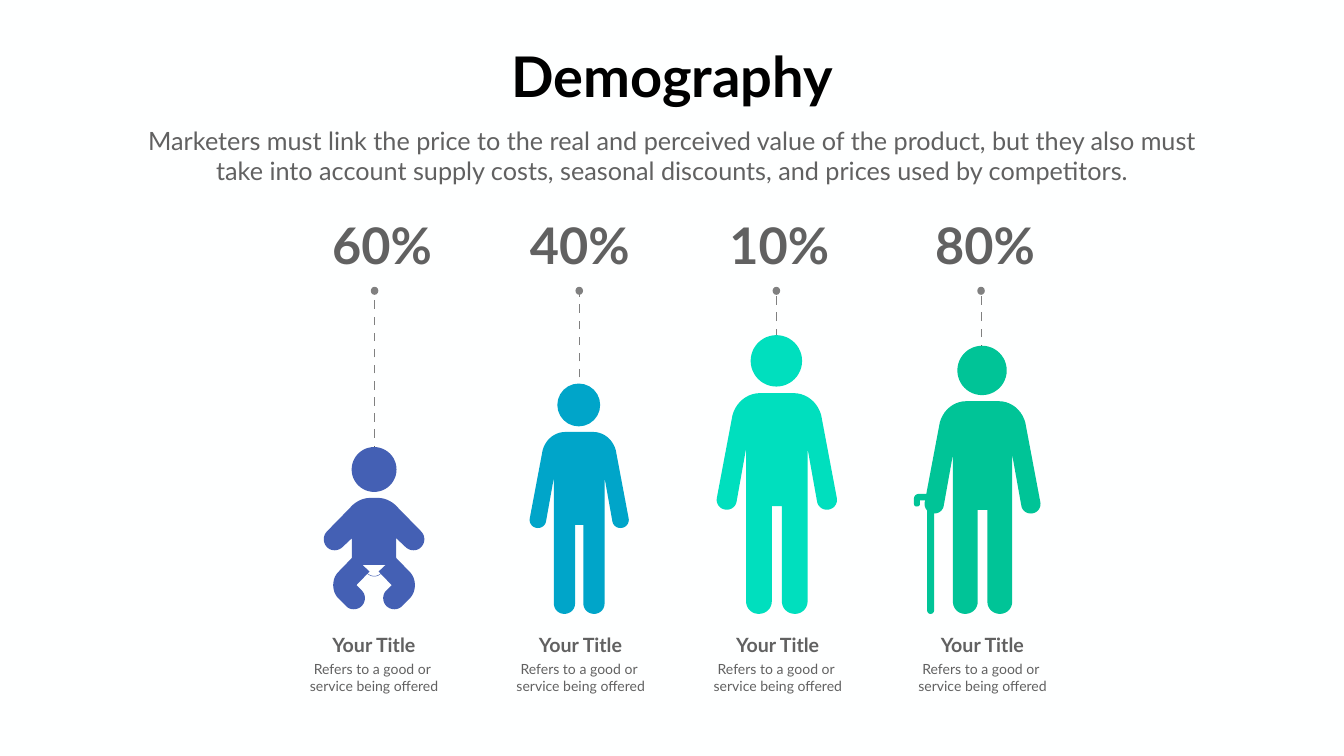
from dataclasses import dataclass
from math import ceil

from lxml import etree
from pptx import Presentation
from pptx.dml.color import RGBColor
from pptx.enum.shapes import MSO_CONNECTOR as Connector, MSO_SHAPE as Shape
from pptx.enum.text import MSO_ANCHOR as Anchor, PP_ALIGN as Align
from pptx.oxml.ns import qn
from pptx.util import Inches, Pt


@dataclass(frozen=True)
class Theme:
    font: str = "Lato"
    background: str = "FEFFFF"
    title: str = "000000"
    text: str = "616161"
    marker: str = "808080"
    marker_dark: str = "606060"
    baby: str = "4460B4"
    child: str = "00A5C9"
    adult: str = "00DFBE"
    elder: str = "00C497"
    title_size: int = 80
    percent_size: int = 72
    intro_size: int = 36
    label_size: int = 28
    caption_size: int = 20


theme = Theme()
presentation = Presentation()
presentation.slide_width, presentation.slide_height = Inches(26.66), Inches(15)
slide = presentation.slides.add_slide(presentation.slide_layouts[6])
slide.background.fill.solid()
slide.background.fill.fore_color.rgb = RGBColor.from_string(theme.background)


def add_text(box, lines, size, color=theme.text, bold=False, wrap=True):
    frame = slide.shapes.add_textbox(*map(Inches, box)).text_frame
    frame.word_wrap = wrap
    frame.vertical_anchor = Anchor.TOP
    font_format = {"name": theme.font, "size": Pt(size), "bold": bold}
    for index, line in enumerate(lines):
        paragraph = frame.paragraphs[0] if index == 0 else frame.add_paragraph()
        paragraph.alignment = Align.CENTER
        run = paragraph.add_run()
        run.text = line
        for name, value in font_format.items():
            setattr(run.font, name, value)
        run.font.color.rgb = RGBColor.from_string(color)


def add_outline(steps, center, top, color, scale=1, sides=(1,), mirror=False):
    """Draw steps of (x, y) lines and (x1, y1, x2, y2, x, y) Bezier curves.

    Sides holds 1 and/or -1 (flipped); mirror joins both halves in one shape.
    """
    points = [steps[0]]
    for step in steps[1:]:
        if len(step) == 2:
            points.append(step)
            continue
        knots = [points[-1], step[:2], step[2:4], step[4:]]
        for t in (i / 10 for i in range(1, 11)):
            weights = ((1 - t) ** 3, 3 * t * (1 - t) ** 2, 3 * t * t * (1 - t), t ** 3)
            points.append(tuple(sum(w * knot[axis] for w, knot in zip(weights, knots))
                                for axis in (0, 1)))
    if mirror:
        points += [(-x, y) for x, y in reversed(points)]
    for side in sides:
        placed = [(Inches(center + side * scale * x), Inches(top + scale * y))
                  for x, y in points]
        builder = slide.shapes.build_freeform(*placed[0])
        builder.add_line_segments(placed[1:], close=True)
        shape = builder.convert_to_shape()
        shape.shadow.inherit = False
        shape.fill.solid()
        shape.fill.fore_color.rgb = RGBColor.from_string(color)
        shape.line.fill.background()


# Half outlines, measured from the centre line and the shoulders
STANDING_BODY = [
    (0.33, 0), (0.59, 0, 0.81, 0.18, 0.88, 0.44), (1.19, 2.08),
    (1.21, 2.19, 1.14, 2.29, 1.03, 2.31), (0.92, 2.33, 0.82, 2.26, 0.8, 2.16),
    (0.61, 1.1), (0.61, 4.13), (0.61, 4.27, 0.5, 4.38, 0.36, 4.38),
    (0.21, 4.38, 0.1, 4.27, 0.1, 4.13), (0.1, 2.24),
]
BABY_BODY = [
    (0.08, 0), (0.24, 0, 0.39, 0.09, 0.48, 0.2), (0.93, 0.66),
    (1.02, 0.75, 1.02, 0.89, 0.93, 0.98), (0.85, 1.06, 0.71, 1.06, 0.62, 0.97),
    (0.44, 0.8), (0.44, 1.33),
]
BABY_LEG = [
    (0.71, 1.47), (0.41, 1.16), (0.09, 1.46), (0.35, 1.73), (0.24, 1.84),
    (0.16, 1.92, 0.16, 2.06, 0.25, 2.15), (0.34, 2.23, 0.48, 2.23, 0.56, 2.14),
    (0.71, 1.99), (0.78, 1.92, 0.81, 1.82, 0.81, 1.73),
    (0.81, 1.64, 0.78, 1.54, 0.71, 1.47),
]
DIAPER_EDGE = [
    (-0.44, 1.19), (-0.15, 1.48), (-0.06, 1.57, 0.07, 1.57, 0.15, 1.48), (0.44, 1.19),
    (0.15, 1.49), (0.07, 1.58, -0.06, 1.58, -0.15, 1.49),
]
CANE = [
    (0.27, 0), (0.1, 0), (0.04, 0, 0, 0.04, 0, 0.1), (0, 0.19),
    (0, 0.23, 0.02, 0.25, 0.06, 0.25), (0.09, 0.25, 0.12, 0.23, 0.12, 0.19),
    (0.12, 0.13), (0.26, 0.13), (0.26, 2.3), (0.26, 2.35, 0.29, 2.38, 0.33, 2.38),
    (0.37, 2.38, 0.4, 2.35, 0.4, 2.3), (0.4, 0.13), (0.4, 0.06, 0.34, 0, 0.27, 0),
]
DOT_Y, FEET_Y = 5.77, 12.18
DASH, DASH_STEP = 0.17, 0.32

add_text((9.97, 0.78, 6.72, 1.45), ["Demography"], theme.title_size,
         theme.title, bold=True, wrap=False)
add_text((2.68, 2.44, 21.3, 1.31),
         ["Marketers must link the price to the real and perceived value of the product, "
          "but they also must take into account supply costs, seasonal discounts, and "
          "prices used by competitors."], theme.intro_size)

# percent, percent left, caption left, marker x, line end, body centre,
# head centre, head top, head size, body height, colour
people = [
    ("60%", 6.3, 5.98, 7.43, 9.33, 7.42, 7.42, 8.87, 0.89, None, theme.baby),
    ("40%", 10.22, 10.08, 11.49, 8.13, 11.49, 11.48, 7.61, 0.85, 3.61, theme.child),
    ("10%", 14.18, 13.99, 15.4, 7.33, 15.41, 15.4, 6.65, 1.02, 4.38, theme.adult),
    ("80%", 18.26, 18.05, 19.46, 7.33, 19.49, 19.48, 6.86, 0.98, 4.22, theme.elder),
]
for (percent, percent_left, caption_left, marker_x, line_end, center,
     head_x, head_top, head_size, height, color) in people:
    for index in range(ceil((line_end - DOT_Y) / DASH_STEP)):
        start = line_end - index * DASH_STEP
        end = max(start - DASH, DOT_Y)
        dash = slide.shapes.add_connector(
            Connector.STRAIGHT, *map(Inches, (marker_x, start, marker_x, end)))
        dash.line.width = Pt(1.02)
        dash.line.color.rgb = RGBColor.from_string(
            theme.marker_dark if index < 2 else theme.marker)
        etree.SubElement(dash._element.spPr, qn("a:effectLst"))

    ovals = [(marker_x, DOT_Y - 0.08, 0.15, 0.16, theme.marker),
             (head_x, head_top, head_size, head_size, color)]
    for oval_x, oval_top, oval_width, oval_height, fill in ovals:
        oval = slide.shapes.add_shape(Shape.OVAL, *map(
            Inches, (oval_x - oval_width / 2, oval_top, oval_width, oval_height)))
        oval.shadow.inherit = False
        oval.fill.solid()
        oval.fill.fore_color.rgb = RGBColor.from_string(fill)
        oval.line.fill.background()

    if height:
        add_outline(STANDING_BODY, center, FEET_Y - height, color,
                    scale=height / 4.38, mirror=True)
    else:
        add_outline(BABY_LEG, center, 9.88, color, sides=(-1, 1))
        add_outline(BABY_BODY, center, 9.88, color, mirror=True)
        add_outline(DIAPER_EDGE, center, 9.88, color)

    add_text((percent_left, 4.2, 2.56, 1.31), [percent], theme.percent_size, bold=True)
    add_text((caption_left, 13.06, 2.88, 0.77),
             ["Refers to a good or ", "service being offered"], theme.caption_size)
    add_text((caption_left + 0.47, 12.5, 1.93, 0.57), ["Your Title"],
             theme.label_size, bold=True)

add_outline(CANE, 18.13, 9.8, theme.elder)

presentation.save("out.pptx")
